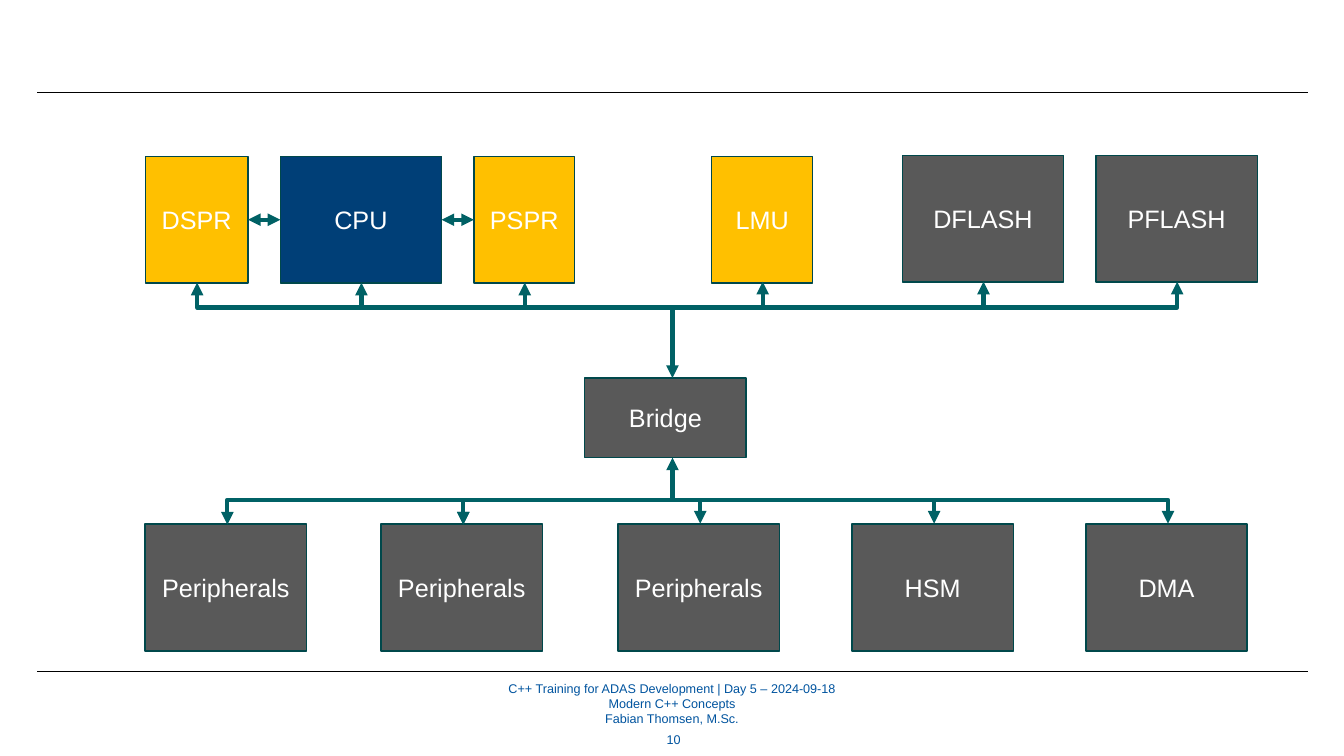
from lxml import etree
from pptx import Presentation
from pptx.dml.color import RGBColor
from pptx.enum.shapes import MSO_CONNECTOR, MSO_SHAPE
from pptx.enum.text import MSO_ANCHOR, PP_ALIGN
from pptx.oxml.ns import qn
from pptx.util import Inches, Pt

RECTANGLE = MSO_SHAPE.RECTANGLE
STRAIGHT = MSO_CONNECTOR.STRAIGHT
ELBOW = MSO_CONNECTOR.ELBOW
CENTER = PP_ALIGN.CENTER
MIDDLE = MSO_ANCHOR.MIDDLE

COLORS = {
    "core": "003F77",
    "memory": "FFC000",
    "module": "595959",
    "border": "00484B",
    "bus": "006165",
    "label": "FFFFFF",
    "footer": "00549F",
    "rule": "000000",
}
CELLS_PER_INCH = 10
FOOTER_LINES = [
    "C++ Training for ADAS Development | Day 5 – 2024-09-18",
    "Modern C++ Concepts",
    "Fabian Thomsen, M.Sc.",
]


def grid(cells):
    return Inches(cells / CELLS_PER_INCH)


def color(name):
    return RGBColor.from_string(COLORS[name])


def write_text(frame, lines, *, size, fill, font="Arial", margin=None):
    frame.word_wrap = True
    frame.vertical_anchor = MIDDLE
    if margin is not None:
        frame.margin_left = frame.margin_right = margin
        frame.margin_top = frame.margin_bottom = margin
    for index, line in enumerate(lines):
        paragraph = frame.paragraphs[0] if index == 0 else frame.add_paragraph()
        paragraph.alignment = CENTER
        run = paragraph.add_run()
        run.text = line
        run.font.name = font
        run.font.size = Pt(size)
        run.font.color.rgb = color(fill)


class Diagram:
    box_height = 12.6
    wide = 16
    bus_skew = 0.1
    bus_depth = 2.5

    def __init__(self, presentation):
        self.slide = presentation.slides.add_slide(presentation.slide_layouts[6])

    def text(self, column, row, columns, rows, lines, **style):
        shape = self.slide.shapes.add_textbox(*map(grid, (column, row, columns, rows)))
        write_text(shape.text_frame, lines, size=9, fill="footer", **style)

    def box(self, label, column, row, columns=wide, rows=box_height, fill="module"):
        shape = self.slide.shapes.add_shape(
            RECTANGLE, *map(grid, (column, row, columns, rows)))
        shape.shadow.inherit = False
        shape.fill.solid()
        shape.fill.fore_color.rgb = color(fill)
        shape.line.color.rgb = color("border")
        shape.line.width = Pt(1)
        write_text(shape.text_frame, [label], size=18, fill="label")

    def line(self, start, end, fill="bus", width=3, arrows=(), kind=STRAIGHT):
        connector = self.slide.shapes.add_connector(kind, *map(grid, (*start, *end)))
        connector.line.color.rgb = color(fill)
        connector.line.width = Pt(width)
        outline = connector.line._get_or_add_ln()
        for arrow in arrows:
            etree.SubElement(outline, qn(f"a:{arrow}"), type="triangle")
        etree.SubElement(connector._element.spPr, qn("a:effectLst"))
        return connector

    def bus(self, left, right, row, direction):
        span = right - left
        middle = (left + right) / 2
        connector = self.line(
            (middle, row - span / 2), (middle + self.bus_skew, row + span / 2),
            arrows=("headEnd", "tailEnd"), kind=ELBOW)
        transform = connector._element.spPr.find(qn("a:xfrm"))
        for name, value in (("rot", "5400000"), ("flipH", "1"), ("flipV", "1")):
            transform.set(name, value)
        geometry = connector._element.spPr.find(qn("a:prstGeom"))
        adjustments = geometry.find(qn("a:avLst"))
        if adjustments is None:
            adjustments = etree.SubElement(geometry, qn("a:avLst"))
        bend = round(-direction * self.bus_depth / self.bus_skew * 100000)
        etree.SubElement(adjustments, qn("a:gd"), name="adj1", fmla=f"val {bend}")


def main():
    presentation = Presentation()
    presentation.slide_width = Inches(13.33)
    presentation.slide_height = Inches(7.5)
    diagram = Diagram(presentation)

    diagram.text(34.3, 67.5, 64.7, 4.6, FOOTER_LINES, margin=0)
    diagram.text(64.2, 72.1, 5.2, 2.6, ["10"])
    for row in (9.2, 66.6):
        diagram.line((3.7, row), (129.7, row), fill="rule", width=0.5)

    diagram.box("CPU", 27.8, 15.5, fill="core")
    for label, column, columns in (("DSPR", 14.4, 10.2), ("PSPR", 47, 10), ("LMU", 70.6, 10)):
        diagram.box(label, column, 15.5, columns, fill="memory")
    for label, column in (("DFLASH", 89.5), ("PFLASH", 108.7)):
        diagram.box(label, column, 15.4)
    diagram.box("Bridge", 58, 37.5, rows=7.9)
    for label, column in (("Peripherals", 14.4), ("Peripherals", 37.8),
                          ("Peripherals", 61.3), ("HSM", 84.5), ("DMA", 107.7)):
        diagram.box(label, column, 52)

    for left, right in ((24.6, 27.8), (43.8, 47)):
        diagram.line((left, 21.8), (right, 21.8), arrows=("headEnd", "tailEnd"))
    for left, right in ((19.5, 116.7), (35.8, 97.5), (52, 75.6)):
        diagram.bus(left, right, 28, direction=1)
    for left, right in ((22.5, 115.8), (45.9, 92.6), (45.9, 69.4)):
        diagram.bus(left, right, 52, direction=-1)
    for start, end in ((30.4, 37.5), (49.8, 45.4)):
        diagram.line((66.7, start), (66.7, end), arrows=("tailEnd",))

    presentation.save("out.pptx")


if __name__ == "__main__":
    main()
